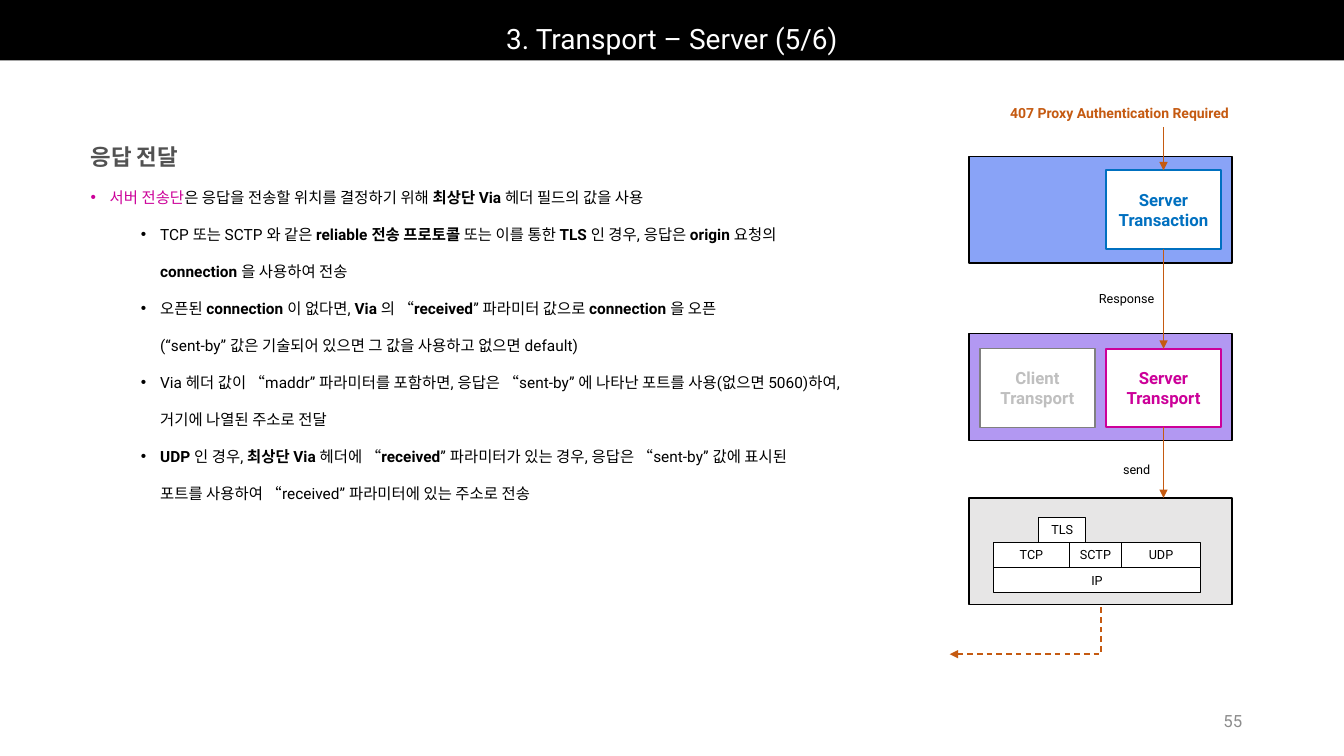
from dataclasses import dataclass

from lxml.etree import SubElement
from pptx import Presentation
from pptx.dml.color import RGBColor as RGB
from pptx.enum.dml import MSO_LINE as DASH
from pptx.enum.shapes import MSO_CONNECTOR as CONN, MSO_SHAPE as SHAPE
from pptx.enum.text import MSO_ANCHOR as ANCHOR, PP_ALIGN as ALIGN
from pptx.oxml.ns import qn
from pptx.util import Inches, Pt


@dataclass(frozen=True)
class Theme:
    font: str = "Roboto"
    black: str = "000000"
    white: str = "FFFFFF"
    heading: str = "525252"
    magenta: str = "CC0099"
    blue: str = "0070C0"
    arrow: str = "C55A11"
    transaction: str = "89A3F7"
    transport: str = "B298F2"
    network: str = "E7E6E6"
    muted_line: str = "808080"
    muted_text: str = "BFBFBF"
    page: str = "8C8C8C"
    title_size: int = 20
    heading_size: int = 16
    box_size: int = 12
    body_size: int = 11
    event_size: int = 10
    label_size: int = 9


class Deck:
    def __init__(self, prs, theme):
        self.t = theme
        self.s = prs.slides.add_slide(prs.slide_layouts[6])

    def add_text(self, p, text, size, color, bold=False):
        for i, line in enumerate(text.split("\n")):
            if i:
                p.add_line_break()
            if line:
                r = p.add_run()
                r.text = line
                r.font.name = self.t.font
                r.font.size = Pt(size)
                r.font.bold = bold
                r.font.color.rgb = RGB.from_string(color)

    def fill_frame(self, tf, lines, size, color, bold=False, align=ALIGN.CENTER,
                   anchor=ANCHOR.MIDDLE, wrap=False):
        tf.word_wrap = wrap
        tf.vertical_anchor = anchor
        for i, line in enumerate(lines):
            p = tf.add_paragraph() if i else tf.paragraphs[0]
            p.alignment = align
            self.add_text(p, line, size, color, bold)

    def box(self, x, y, w, h, fill, line=None, width=1):
        sp = self.s.shapes.add_shape(SHAPE.RECTANGLE, Inches(x), Inches(y), Inches(w), Inches(h))
        sp.shadow.inherit = False
        sp.fill.solid()
        sp.fill.fore_color.rgb = RGB.from_string(fill)
        if line:
            sp.line.color.rgb = RGB.from_string(line)
            sp.line.width = Pt(width)
        else:
            sp.line.fill.background()
        return sp

    def layer(self, y, fill):
        return self.box(9.61, y, 2.61, 1.06, fill, self.t.black)

    def module(self, x, y, lines, color, line, width=1.5):
        sp = self.box(x, y, 1.14, 0.78, self.t.white, line, width)
        self.fill_frame(sp.text_frame, lines, self.t.box_size, color, True)
        return sp

    def protocol(self, x, y, w, name):
        sp = self.box(x, y, w, 0.25, self.t.white, self.t.black, 0.75)
        self.fill_frame(sp.text_frame, [name], self.t.label_size, self.t.black)

    def label(self, x, y, w, h, text, size, color, bold=False, align=ALIGN.LEFT):
        sp = self.s.shapes.add_textbox(Inches(x), Inches(y), Inches(w), Inches(h))
        self.fill_frame(sp.text_frame, [text], size, color, bold, align)

    def arrow(self, x1, y1, x2, y2, start=None, end=None, elbow=False):
        c = self.s.shapes.add_connector(CONN.ELBOW if elbow else CONN.STRAIGHT,
                                        Inches(x1), Inches(y1), Inches(x2), Inches(y2))
        if start:
            c.begin_connect(start, 2)
        if end:
            c.end_connect(end, 0)
        c.line.color.rgb = RGB.from_string(self.t.arrow)
        c.line.width = Pt(1)
        if elbow:
            c.line.dash_style = DASH.DASH
            c._element.spPr.find(qn("a:prstGeom")).set("prst", "bentConnector2")
        ln = c._element.spPr.find(qn("a:ln"))
        SubElement(ln, qn("a:headEnd" if elbow else "a:tailEnd"), type="triangle")
        SubElement(c._element.spPr, qn("a:effectLst"))

    def bullets(self, x, y, w, h, heading, lead, items):
        t = self.t
        tf = self.s.shapes.add_textbox(Inches(x), Inches(y), Inches(w), Inches(h)).text_frame
        self.fill_frame(tf, [heading], t.heading_size, t.heading, True, ALIGN.LEFT, ANCHOR.TOP, True)
        tf.paragraphs[0].line_spacing = 2
        for i, item in enumerate(items):
            p = tf.add_paragraph()
            p.level = min(i, 1)
            p.line_spacing = 2
            pPr = p._p.get_or_add_pPr()
            pPr.set("marL", str(Inches(0.69 if i else 0.19)))
            pPr.set("indent", str(Inches(-0.19)))
            SubElement(pPr, qn("a:buFont"), typeface="Arial")
            SubElement(pPr, qn("a:buChar"), char="•")
            if not i:
                self.add_text(p, lead, t.body_size, t.magenta)
            for n, part in enumerate(item.split("**")):
                self.add_text(p, part, t.body_size, t.black, n % 2 == 1)


def main():
    prs = Presentation()
    prs.slide_width, prs.slide_height = Inches(13.33), Inches(7.5)
    t = Theme()
    d = Deck(prs, t)

    title = d.box(0, 0, 13.33, 0.6, t.black)
    d.fill_frame(title.text_frame, ["3. Transport – Server (5/6)"], t.title_size, t.white,
                 anchor=ANCHOR.BOTTOM)
    title.text_frame.paragraphs[0].line_spacing = 0.9
    d.label(9.42, 6.95, 3, 0.4, "55", t.box_size, t.page, align=ALIGN.RIGHT)

    d.bullets(0.8, 1.1, 7.76, 3.93, "응답 전달", "서버 전송단", [
        "은 응답을 전송할 위치를 결정하기 위해 **최상단 Via **헤더 필드의 값을 사용",
        "TCP 또는 SCTP 와 같은 **reliable 전송 프로토콜** 또는 이를 통한 **TLS **인 경우, "
        "응답은 **origin **요청의 \n**connection **을 사용하여 전송",
        "오픈된 **connection **이 없다면, **Via **의 “**received**” 파라미터 값으로 "
        "**connection **을 오픈\n(“sent-by” 값은 기술되어 있으면 그 값을 사용하고 없으면 default)",
        "Via 헤더 값이 “maddr” 파라미터를 포함하면, 응답은 “sent-by” 에 나타난 포트를 "
        "사용(없으면 5060)하여, \n거기에 나열된 주소로 전달",
        "**UDP **인 경우, **최상단 Via **헤더에 “**received**” 파라미터가 있는 경우, "
        "응답은 “sent-by” 값에 표시된 \n포트를 사용하여 “received” 파라미터에 있는 주소로 전송",
    ])

    d.layer(1.55, t.transaction)
    d.layer(3.31, t.transport)
    d.layer(4.94, t.network)
    transaction = d.module(10.97, 1.69, ["Server", "Transaction"], t.blue, t.blue)
    d.module(9.72, 3.46, ["Client", "Transport"], t.muted_text, t.muted_line, 1)
    transport = d.module(10.97, 3.46, ["Server", "Transport"], t.magenta, t.magenta)

    for x, y, w, name in [(10.3, 5.13, 0.47, "TLS"), (9.85, 5.38, 0.76, "TCP"),
                          (10.61, 5.38, 0.51, "SCTP"), (11.12, 5.38, 0.79, "UDP"),
                          (9.85, 5.63, 2.06, "IP")]:
        d.protocol(x, y, w, name)

    d.arrow(11.54, 1.26, 11.54, 1.69, end=transaction)
    d.arrow(11.54, 2.47, 11.54, 3.46, transaction, transport)
    d.arrow(11.54, 4.24, 11.54, 4.94, start=transport)
    d.arrow(9.42, 6.49, 10.92, 6, elbow=True)

    d.label(9.92, 0.99, 2.41, 0.27, "407 Proxy Authentication Required", t.event_size, t.arrow, True)
    d.label(10.8, 2.84, 0.75, 0.25, "Response", t.label_size, t.black)
    d.label(11.04, 4.53, 0.48, 0.25, "send", t.label_size, t.black)

    prs.save("out.pptx")


if __name__ == "__main__":
    main()
